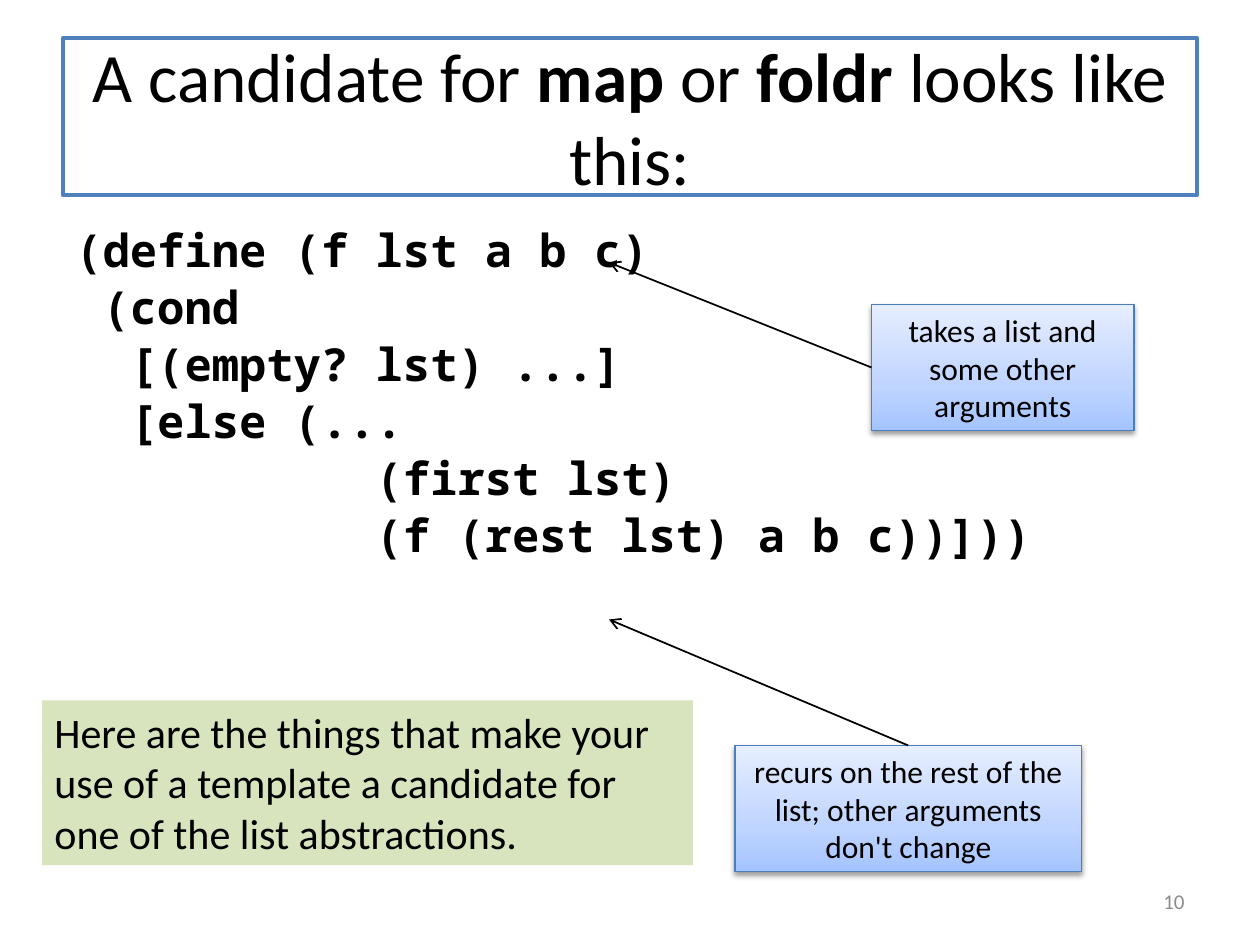
"""Build a slide showing the function template that suits map or foldr."""
import copy

import pptx
import pptx.dml.color
import pptx.enum.dml
import pptx.enum.shapes
import pptx.enum.text
import pptx.oxml
import pptx.oxml.ns
import pptx.util

COLORS = {"black": "000000", "white": "FFFFFF", "title line": "4F81BD",
          "callout line": "4B7EBC", "green": "D7E4BD", "gray": "8C8C8C"}
GRADIENT = [(0, "A4C4FF"), (0.35, "BFD4FF"), (1, "E6EEFF")]
TITLE = [("A candidate for ", False), ("map", True), (" or ", False),
         ("foldr", True), (" looks like this:", False)]
CODE = ["(define (f lst a b c)",
        " (cond",
        "  [(empty? lst) ...]",
        "  [else (...",
        "           (first lst)",
        "           (f (rest lst) a b c))]))"]
SUMMARY = ("Here are the things that make your use of a template "
           "a candidate for one of the list abstractions.")
CALLOUTS = [
    {"text": "takes a list and some other arguments",
     "cells": (83, 29, 25, 12), "side": 1, "target": (58, 25)},
    {"text": "recurs on the rest of the list; other arguments don't change",
     "cells": (70, 71, 33, 12), "side": 0, "target": (58, 59)},
]
CELL = pptx.util.Inches(10) / 120
ALIGN = pptx.enum.text.PP_ALIGN
ANCHOR = pptx.enum.text.MSO_ANCHOR
NAMESPACE = pptx.oxml.ns.nsdecls("a")


def grid(*cells):
    return [round(cell * CELL) for cell in cells]


def rgb(name):
    return pptx.dml.color.RGBColor.from_string(COLORS.get(name, name))


def style(paragraph, size, color="black", align=ALIGN.LEFT, name="Calibri", bold=None):
    paragraph.alignment = align
    font = paragraph.font
    font.size, font.name, font.bold = pptx.util.Pt(size), name, bold
    font.color.rgb = rgb(color)


def add_text_box(page, cells, anchor=ANCHOR.TOP):
    box = page.shapes.add_textbox(*grid(*cells))
    box.text_frame.word_wrap = True
    box.text_frame.vertical_anchor = anchor
    return box


def add_rectangle(page, cells, line, width):
    box = page.shapes.add_shape(pptx.enum.shapes.MSO_SHAPE.RECTANGLE, *grid(*cells))
    box.shadow.inherit = False
    box.line.color.rgb = rgb(line)
    box.line.width = pptx.util.Pt(width)
    box.text_frame.word_wrap = True
    box.text_frame.vertical_anchor = ANCHOR.MIDDLE
    return box


def add_title(page):
    box = add_rectangle(page, (6, 3.6, 108, 15), "title line", 2.25)
    box.fill.solid()
    box.fill.fore_color.rgb = rgb("white")
    paragraph = box.text_frame.paragraphs[0]
    style(paragraph, 39.6, align=ALIGN.CENTER)
    for text, bold in TITLE:
        span = paragraph.add_run()
        span.text, span.font.bold = text, bold


def add_code(page):
    frame = add_text_box(page, (6, 21, 108, 59.4)).text_frame
    for index, line in enumerate(CODE):
        paragraph = frame.add_paragraph() if index else frame.paragraphs[0]
        paragraph.text = line
        paragraph.line_spacing = 0.94
        paragraph.space_before = pptx.util.Pt(3.2 if index else 0)
        style(paragraph, 26, name="Noto Sans Mono", bold=True)


def fill_gradient(box):
    box.fill.gradient()
    box.fill.gradient_angle = 90
    stops = box.fill._xPr.find(".//" + pptx.oxml.ns.qn("a:gsLst"))
    stops.append(copy.deepcopy(stops[0]))
    for stop, (position, color) in zip(box.fill.gradient_stops, GRADIENT):
        stop.position = position
        stop.color.rgb = rgb(color)
        stop.color.brightness = 0


def add_shadow(box):
    effects = box._element.spPr.find(pptx.oxml.ns.qn("a:effectLst"))
    effects.append(pptx.oxml.parse_xml(
        f'<a:outerShdw {NAMESPACE} blurRad="{pptx.util.Pt(3.1)}" '
        f'dist="{pptx.util.Pt(1.6)}" dir="5400000" rotWithShape="0">'
        f'<a:srgbClr val="{COLORS["black"]}"><a:alpha val="38000"/></a:srgbClr>'
        '</a:outerShdw>'))


def add_callout(page, text, cells, side, target):
    box = add_rectangle(page, cells, "callout line", 0.75)
    fill_gradient(box)
    add_shadow(box)
    paragraph = box.text_frame.paragraphs[0]
    paragraph.text = text
    style(paragraph, 18, align=ALIGN.CENTER)
    arrow = page.shapes.add_connector(
        pptx.enum.shapes.MSO_CONNECTOR.STRAIGHT, *grid(*cells[:2], *target))
    arrow.begin_connect(box, side)
    arrow.line.color.rgb = rgb("black")
    arrow.line.width = pptx.util.Pt(1)
    arrow.line._get_or_add_ln().append(
        pptx.oxml.parse_xml(f'<a:tailEnd {NAMESPACE} type="arrow"/>'))
    arrow._element.spPr.append(pptx.oxml.parse_xml(f"<a:effectLst {NAMESPACE}/>"))


def add_summary(page):
    box = add_text_box(page, (4, 66.7, 62, 15.7))
    box.fill.solid()
    box.fill.fore_color.rgb = rgb("green")
    paragraph = box.text_frame.paragraphs[0]
    paragraph.text = SUMMARY
    style(paragraph, 24)


def add_page_number(page):
    box = add_text_box(page, (86, 83.4, 28, 4.8), ANCHOR.MIDDLE)
    paragraph = box.text_frame.paragraphs[0]
    paragraph.text = "10"
    style(paragraph, 12, "gray", ALIGN.RIGHT)


def main():
    deck = pptx.Presentation()
    deck.slide_width, deck.slide_height = grid(120, 90)
    page = deck.slides.add_slide(deck.slide_layouts[6])
    add_title(page)
    add_code(page)
    add_page_number(page)
    for callout in CALLOUTS:
        add_callout(page, **callout)
    add_summary(page)
    deck.save("out.pptx")


if __name__ == "__main__":
    main()
